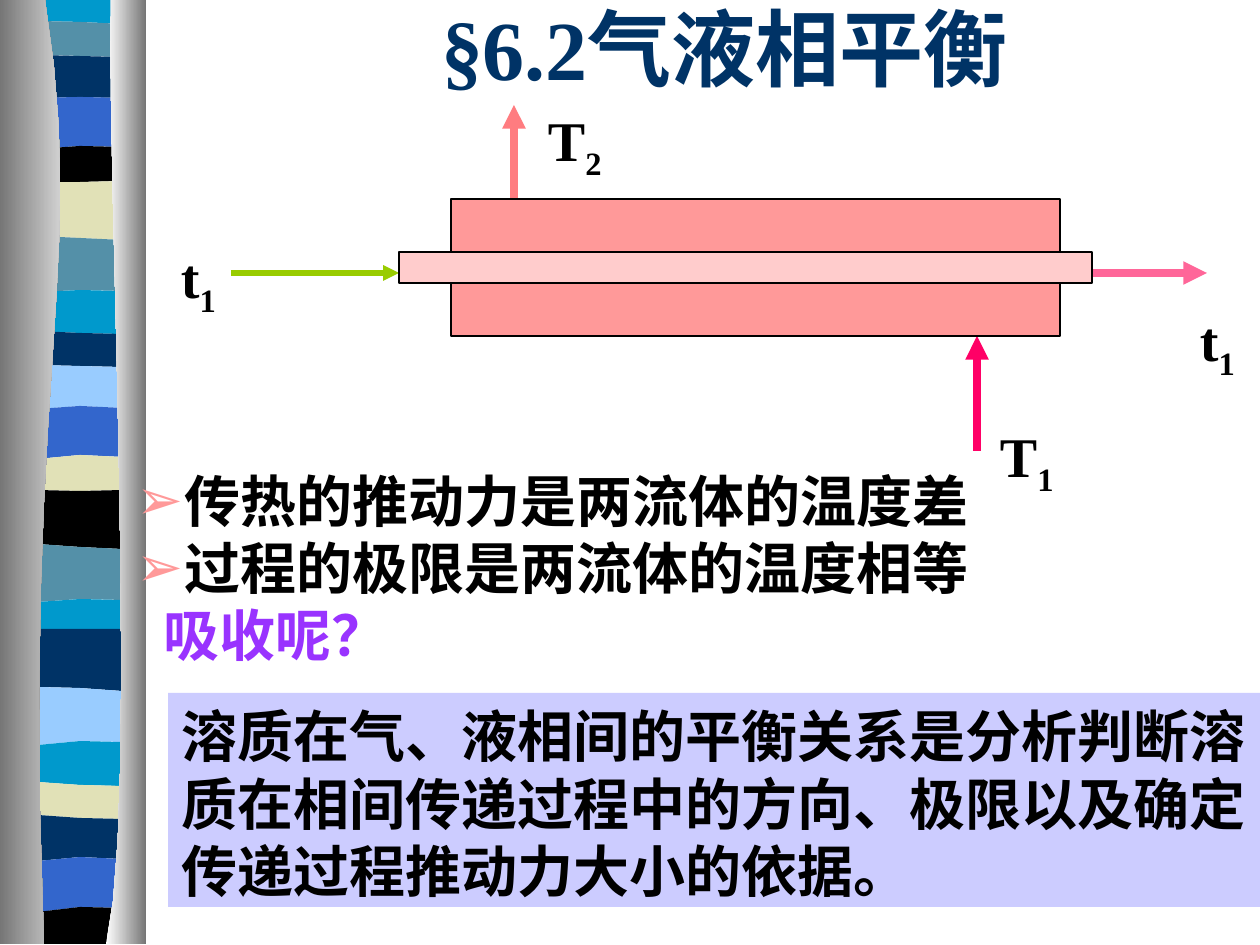
from math import comb
from lxml.etree import SubElement
from pptx import Presentation
from pptx.dml.color import RGBColor
from pptx.enum.shapes import MSO_CONNECTOR, MSO_SHAPE
from pptx.enum.text import MSO_ANCHOR, MSO_AUTO_SIZE, PP_ALIGN
from pptx.oxml.ns import qn
from pptx.util import Emu, Pt

HUE = {
    "black": "000000", "navy": "003366", "blue": "3366CC", "sky": "99CCFF",
    "cyan": "0099CC", "teal": "5490A8", "cream": "E1E1B7", "gray": "767676",
    "pale": "D0D0D0", "white": "FFFFFF", "shell": "FF9999", "tube": "FFCCCC",
    "lime": "99CC00", "pink": "FF6699", "red": "FF0066", "coral": "FF7C80",
    "violet": "9933FF", "lilac": "CCCCFF",
}
SERIF, SANS, HAN = "Times New Roman", "Arial", "Noto Sans CJK SC"

TITLE = "§6.2气液相平衡"
POINTS = [
    ("传热的推动力是两流体的温度差", "black", True),
    ("过程的极限是两流体的温度相等", "black", True),
    ("吸收呢？", "violet", False),
]
CLAIM = "溶质在气、液相间的平衡关系是分析判断溶质在相间传递过程中的方向、极限以及确定传递过程推动力大小的依据。"

BANDS = [
    ("cyan", 0, 0, 0), ("teal", 21, 22, 24), ("navy", 55, 56, 57),
    ("blue", 98, 97, 98), ("black", 149, 146, 147), ("cream", 182, 182, 181),
    ("teal", 236, 238, 240), ("cyan", 292, 290, 291), ("navy", 331, 333, 334),
    ("sky", 365, 366, 367), ("blue", 409, 406, 408), ("cream", 459, 455, 457),
    ("black", 490, 491, 490), ("teal", 544, 547, 549), ("cyan", 602, 599, 600),
    ("navy", 629, 629, 629), ("sky", 687, 688, 691), ("cyan", 745, 741, 742),
    ("cream", 782, 785, 786), ("navy", 815, 818, 819), ("blue", 861, 857, 859),
    ("black", 912, 907, 908), (None, 944, 944, 944),
]
POSTS = [
    ([(45, 0), (89, 272), (21, 373), (44, 944)], 0, "gray", "pale"),
    ([(111, 0), (106, 158), (140, 814), (106, 944)], 146, "white", "gray"),
]
FLOWS = [
    ((231, 273), (399, 273), "lime", 3),
    ((1092, 273), (1207, 273), "pink", 4.5),
    ((977, 451), (977, 336), "red", 4.5),
    ((514, 199), (514, 105), "coral", 4.5),
]
MARKS = [
    ("t", "1", 168, 231, 73), ("t", "1", 1187, 294, 73),
    ("T", "1", 987, 410, 116), ("T", "2", 535, 94, 136),
]
PIPES = [
    ("shell", 451, 199, 609, 53), ("shell", 451, 283, 609, 53),
    ("tube", 399, 252, 693, 31),
]


def px(n):
    return Emu(round(n * 914400 / 126))


def tone(name):
    return RGBColor.from_string(HUE[name])


def curve(knots, steps):
    top = len(knots) - 1
    def at(t, axis):
        return sum(comb(top, i) * (1 - t) ** (top - i) * t ** i * k[axis]
                   for i, k in enumerate(knots))
    return [(at(i / steps, 0), at(i / steps, 1)) for i in range(steps + 1)]


def edge(left, mid, right):
    return [(38, left), (80, mid), (122, right)]


def outline(dots):
    dots = [(px(x), px(y)) for x, y in dots]
    pen = slide.shapes.build_freeform(*dots[0])
    pen.add_line_segments(dots[1:], close=True)
    shape = pen.convert_to_shape()
    shape.shadow.inherit = False
    shape.line.fill.background()
    return shape


def paint(shape, name):
    shape.fill.solid()
    shape.fill.fore_color.rgb = tone(name)


def place(shape, x, y, w, h):
    shape.left, shape.top, shape.width, shape.height = map(px, (x, y, w, h))


def frame(shape, top=6):
    text = shape.text_frame
    text.word_wrap = True
    text.auto_size = MSO_AUTO_SIZE.NONE
    text.vertical_anchor = MSO_ANCHOR.TOP
    text.margin_left = text.margin_right = px(13)
    text.margin_top, text.margin_bottom = px(top), px(6)
    return text


def write(para, words, face, size=32, name="black"):
    run = para.add_run()
    run.text = words
    font = run.font
    font.name, font.size, font.bold = face, Pt(size), True
    font.color.rgb = tone(name)
    latin = font._element.find(qn("a:latin"))
    ea = SubElement(font._element, qn("a:ea"), typeface=HAN)
    latin.addnext(ea)
    return run


def bullet(para, shown):
    props = para._p.get_or_add_pPr()
    props.set("marL", str(px(48 if shown else 27)))
    props.set("indent", str(px(-48 if shown else 0)))
    if shown:
        color = SubElement(props, qn("a:buClr"))
        SubElement(color, qn("a:srgbClr"), val=HUE["shell"])
        SubElement(props, qn("a:buChar"), char="➢")
    else:
        SubElement(props, qn("a:buNone"))


deck = Presentation()
deck.slide_width, deck.slide_height = px(1260), px(945)
slide = deck.slides.add_slide(deck.slide_layouts[1])
title, body = slide.shapes.title, slide.placeholders[1]

for (name, *upper), (_, *lower) in zip(BANDS, BANDS[1:]):
    paint(outline(edge(*upper) + edge(*lower)[::-1]), name)
for knots, side, first, last in POSTS:
    post = outline(curve(knots, 12) + [(side, 944), (side, 0)])
    post.fill.gradient()
    post.fill.gradient_angle = 0
    for stop, name in zip(post.fill.gradient_stops, (first, last)):
        stop.color.rgb = tone(name)

place(title, 189, 0, 1071, 94)
text = frame(title)
text.vertical_anchor = MSO_ANCHOR.MIDDLE
para = text.paragraphs[0]
para.alignment = PP_ALIGN.CENTER
write(para, TITLE, SERIF, 48, "navy")

for start, end, name, width in FLOWS:
    flow = slide.shapes.add_connector(
        MSO_CONNECTOR.STRAIGHT, *map(px, start + end))
    flow.line.color.rgb = tone(name)
    flow.line.width = Pt(width)
    SubElement(flow.line._get_or_add_ln(), qn("a:tailEnd"), type="triangle")
    SubElement(flow._element.spPr, qn("a:effectLst"))

for base, sub, x, y, w in MARKS:
    mark = slide.shapes.add_textbox(*map(px, (x, y, w, 89)))
    para = frame(mark, 12).paragraphs[0]
    write(para, base, SERIF)
    low = write(para, sub, SERIF)
    low.font._element.set("baseline", "-25000")

for name, *spot in PIPES:
    pipe = slide.shapes.add_shape(MSO_SHAPE.RECTANGLE, *map(px, spot))
    pipe.shadow.inherit = False
    paint(pipe, name)
    pipe.line.color.rgb = tone("black")
    pipe.line.width = Pt(0.75)

place(body, 123, 457, 1092, 214)
body.element.getparent().append(body.element)
text = frame(body, 9)
for i, (words, name, shown) in enumerate(POINTS):
    para = text.add_paragraph() if i else text.paragraphs[0]
    bullet(para, shown)
    para.space_before = Pt(0)
    para.line_spacing = Pt(38.4)
    write(para, words, HAN, 32, name)

claim = slide.shapes.add_shape(
    MSO_SHAPE.RECTANGLE, *map(px, (168, 693, 1092, 214)))
claim.shadow.inherit = False
paint(claim, "lilac")
claim.line.fill.background()
para = frame(claim, 9).paragraphs[0]
para.alignment = PP_ALIGN.LEFT
para.line_spacing = Pt(38.4)
write(para, CLAIM, SANS)

deck.save("out.pptx")
